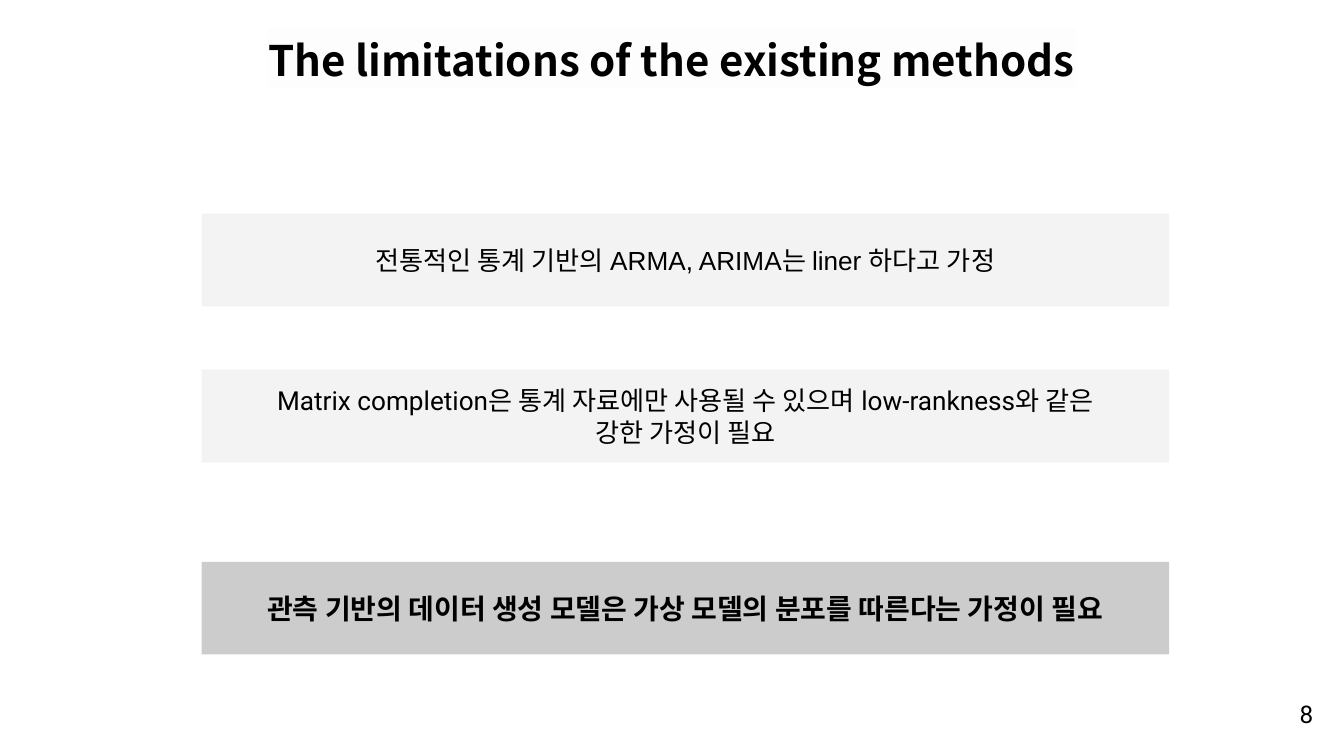
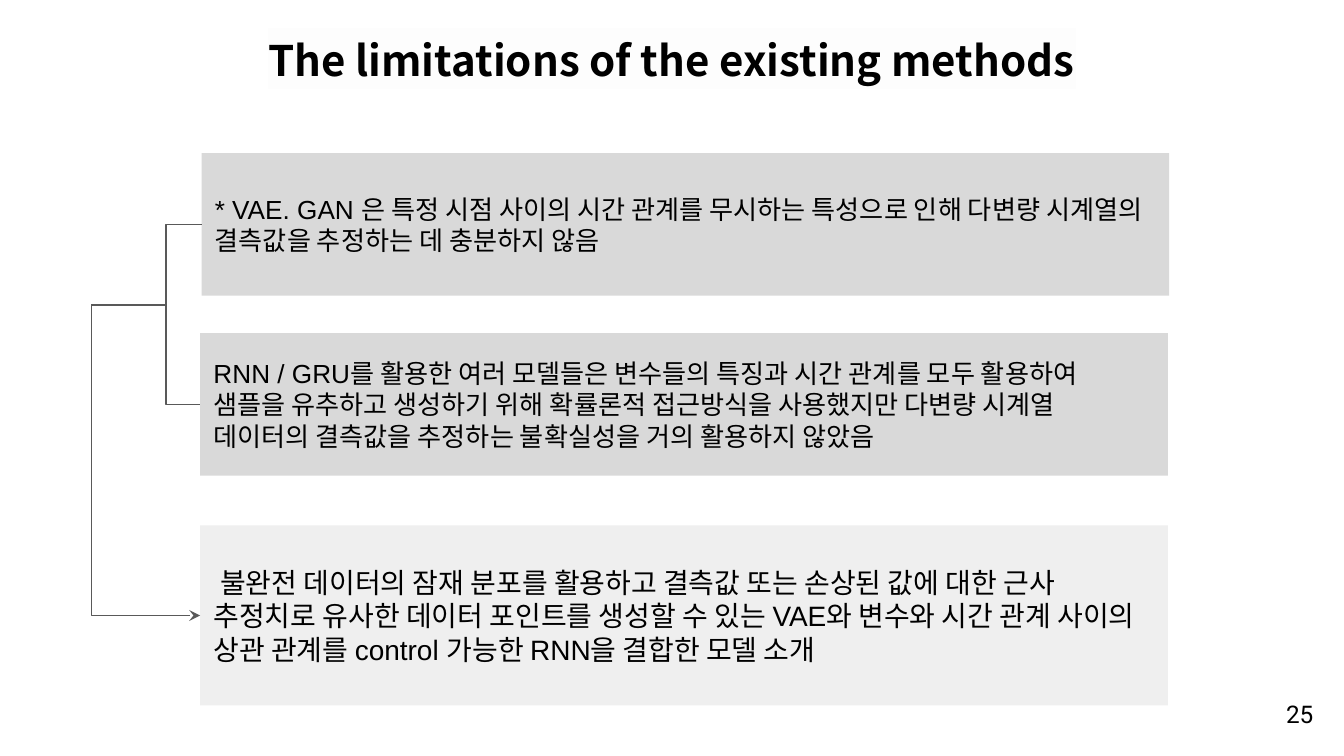
from lxml import etree
from pptx import Presentation, util as u
from pptx.dml.color import RGBColor
from pptx.enum import shapes, text
from pptx.oxml.ns import qn

WIDTH = 10
HEIGHT = WIDTH * 9 / 16
PANEL_WIDTH = 0.72 * WIDTH
COLOURS = {"ink": "000000", "wire": "595959", "glow": "FDFDFD",
           "pale": "F3F3F3", "mid": "D9D9D9", "dark": "CCCCCC", "result": "EFEFEF"}
ALIGN = {"left": text.PP_ALIGN.LEFT, "centre": text.PP_ALIGN.CENTER,
         "right": text.PP_ALIGN.RIGHT}

TITLE = "The limitations of the existing methods"

# Panels: left, top, height, fill, size, font, bold, lines
SLIDES = [
    {"number": "8", "align": "centre", "linked": False, "panels": [
        (1.5, 1.59, 0.69, "pale", 14, "Arial", False,
         ["전통적인 통계 기반의 ARMA, ARIMA는 liner 하다고 가정"]),
        (1.5, 2.75, 0.69, "pale", 14, "Roboto", False,
         ["Matrix completion은 통계 자료에만 사용될 수 있으며 low-rankness와 같은",
          "강한 가정이 필요"]),
        (1.5, 4.18, 0.69, "dark", 15, "Arial", True,
         ["관측 기반의 데이터 생성 모델은 가상 모델의 분포를 따른다는 가정이 필요"]),
    ]},
    {"number": "25", "align": "left", "linked": True, "panels": [
        (1.5, 1.14, 1.06, "mid", 14, "Arial", False,
         ["* VAE. GAN 은 특정 시점 사이의 시간 관계를 무시하는 특성으로 인해 "
          "다변량 시계열의 결측값을 추정하는 데 충분하지 않음"]),
        (1.49, 2.48, 1.06, "mid", 14, "Arial", False,
         ["RNN / GRU를 활용한 여러 모델들은 변수들의 특징과 시간 관계를 모두 활용하여 "
          "샘플을 유추하고 생성하기 위해 확률론적 접근방식을 사용했지만 다변량 시계열 "
          "데이터의 결측값을 추정하는 불확실성을 거의 활용하지 않았음"]),
        (1.49, 3.91, 1.34, "result", 15, "Arial", False,
         ["불완전 데이터의 잠재 분포를 활용하고 결측값 또는 손상된 값에 대한 근사 "
          "추정치로 유사한 데이터 포인트를 생성할 수 있는 VAE와 변수와 시간 관계 "
          "사이의 상관 관계를 control 가능한 RNN을 결합한 모델 소개"]),
    ]},
]
BRACKET_X, RETURN_X, RETURN_Y = 1.23, 0.68, 2.27


def colour(name):
    return RGBColor.from_string(COLOURS[name])


def write(shape, lines, size, font, align, bold=False, anchor=text.MSO_ANCHOR.TOP):
    frame = shape.text_frame
    frame.word_wrap = True
    frame.vertical_anchor = anchor
    frame.margin_left = frame.margin_right = u.Inches(0.1)
    frame.margin_top = frame.margin_bottom = u.Inches(0.1)
    for index, line in enumerate(lines):
        paragraph = frame.add_paragraph() if index else frame.paragraphs[0]
        paragraph.alignment = ALIGN[align]
        run = paragraph.add_run()
        run.text = line
        run.font.size, run.font.name, run.font.bold = u.Pt(size), font, bold
        run.font.color.rgb = colour("ink")


def highlight(run, name):
    mark = etree.Element(qn("a:highlight"))
    etree.SubElement(mark, qn("a:srgbClr"), val=COLOURS[name])
    run.font._element.find(qn("a:solidFill")).addnext(mark)


def add_frame(slide, number):
    """Add the title and page number that every slide carries."""
    page = slide.shapes.add_textbox(*map(u.Inches, (9.27, 5.1, 0.6, 0.43)))
    write(page, [number], 13, "Roboto", "right")
    title = slide.shapes.add_textbox(*map(u.Inches, (0.34, 0.16, WIDTH - 0.68, 0.57)))
    write(title, [TITLE], 22.5, "Noto Sans CJK SC", "centre", bold=True)
    highlight(title.text_frame.paragraphs[0].runs[0], "glow")


def add_panel(slide, align, left, top, height, fill, size, font, bold, lines):
    panel = slide.shapes.add_shape(
        shapes.MSO_SHAPE.RECTANGLE, *map(u.Inches, (left, top, PANEL_WIDTH, height)))
    panel.shadow.inherit = False
    panel.fill.solid()
    panel.fill.fore_color.rgb = colour(fill)
    panel.line.fill.background()
    write(panel, lines, size, font, align, bold, text.MSO_ANCHOR.MIDDLE)
    return panel


def indent_first_line(panel):
    """Indent the first line slightly and keep the text clear of the right edge."""
    panel.text_frame.margin_right = u.Inches(0.2)
    properties = panel.text_frame.paragraphs[0]._p.get_or_add_pPr()
    properties.set("marL", "0")
    properties.set("indent", str(u.Inches(0.05)))


def add_wire(slide, kind, start, end):
    wire = slide.shapes.add_connector(kind, *start, *end)
    wire.line.color.rgb = colour("wire")
    wire.line.width = u.Pt(0.75)
    etree.SubElement(wire._element.spPr, qn("a:effectLst"))
    return wire


def left_middle(panel):
    return panel.left, panel.top + panel.height // 2


def link_panels(slide, first, second, result):
    """Bracket the first two panels and lead from the bracket to the result."""
    elbow = shapes.MSO_CONNECTOR.ELBOW
    start, end = left_middle(first), left_middle(second)
    spine, outer, level = map(u.Inches, (BRACKET_X, RETURN_X, RETURN_Y))

    bracket = add_wire(slide, elbow, start, end)
    bracket.begin_connect(first, 1)
    bracket.end_connect(second, 1)
    reach = round((start[0] - spine) / (start[0] - end[0]) * 100000)
    guides = bracket._element.spPr.find(qn("a:prstGeom")).get_or_add_avLst()
    etree.SubElement(guides, qn("a:gd"), name="adj1", fmla=f"val {reach}")

    arrow = add_wire(slide, elbow, left_middle(result), (outer, level))
    arrow.begin_connect(result, 1)
    arrow._element.spPr.find(qn("a:prstGeom")).set("prst", "bentConnector2")
    etree.SubElement(arrow.line._get_or_add_ln(), qn("a:headEnd"), type="stealth")

    add_wire(slide, shapes.MSO_CONNECTOR.STRAIGHT, (outer, level), (spine, level))


def main():
    deck = Presentation()
    deck.slide_width, deck.slide_height = u.Inches(WIDTH), u.Inches(HEIGHT)
    for content in SLIDES:
        slide = deck.slides.add_slide(deck.slide_layouts[6])
        add_frame(slide, content["number"])
        panels = [add_panel(slide, content["align"], *panel) for panel in content["panels"]]
        if content["linked"]:
            indent_first_line(panels[-1])
            link_panels(slide, *panels)
    deck.save("out.pptx")


if __name__ == "__main__":
    main()
